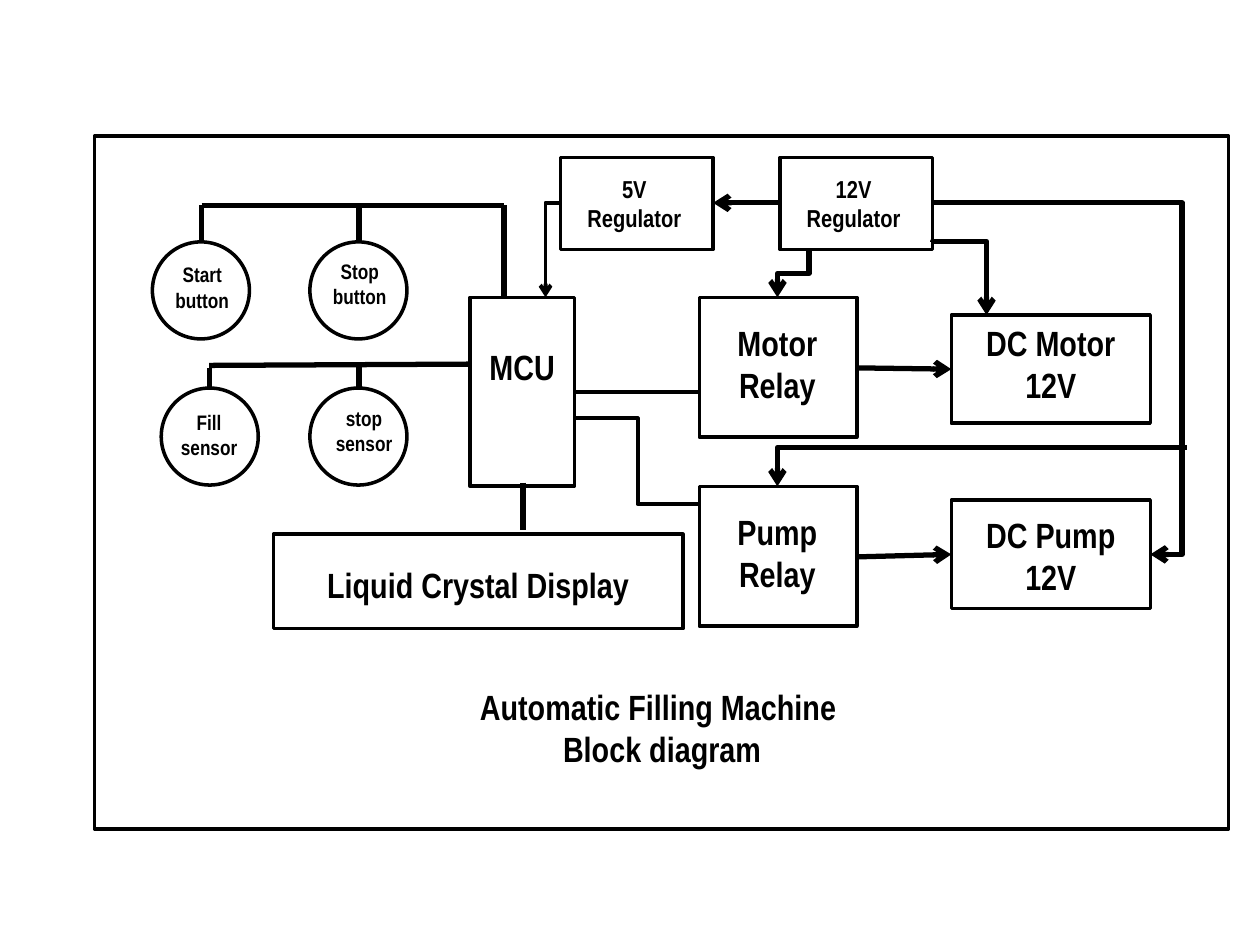
from dataclasses import dataclass

from lxml.etree import SubElement
from pptx import Presentation
from pptx.dml.color import RGBColor
from pptx.enum.shapes import MSO_CONNECTOR, MSO_SHAPE
from pptx.enum.text import MSO_AUTO_SIZE, PP_ALIGN
from pptx.oxml.ns import qn
from pptx.util import Inches, Pt


@dataclass(frozen=True)
class Theme:
    """Hold the colours, font, type sizes and line widths."""
    ink: RGBColor = RGBColor(0, 0, 0)
    paper: RGBColor = RGBColor(255, 255, 255)
    font: str = "Arial Narrow"
    large: float = 20
    medium: float = 14
    small: float = 12
    outline: float = 2
    signal: float = 2.25
    wire: float = 3


THEME = Theme()
BOX, CIRCLE = MSO_SHAPE.RECTANGLE, MSO_SHAPE.OVAL
RELAY, LOAD, REGULATOR, BUTTON = (1.25, 1.11), (1.58, 0.86), (1.21, 0.73), (0.77, 0.77)

BLOCKS = [
    (BOX, (0.75, 1.08), (9, 5.5)),
    (BOX, (3.73, 2.36), (0.83, 1.5)),
    (BOX, (5.55, 2.36), RELAY),
    (BOX, (5.55, 3.86), RELAY),
    (BOX, (7.55, 2.5), LOAD),
    (BOX, (7.55, 3.97), LOAD),
    (BOX, (2.17, 4.24), (3.25, 0.75)),
    (BOX, (4.45, 1.25), REGULATOR),
    (BOX, (6.19, 1.25), REGULATOR),
    (CIRCLE, (1.21, 1.92), BUTTON),
    (CIRCLE, (2.46, 1.92), BUTTON),
    (CIRCLE, (1.28, 3.08), BUTTON),
    (CIRCLE, (2.46, 3.08), BUTTON),
]

LABELS = [
    ("MCU", (3.78, 2.69), (0.73, 0.44), THEME.large),
    ("Motor\nRelay", (5.75, 2.5), (0.84, 0.77), THEME.large),
    ("Pump\nRelay", (5.75, 4), (0.84, 0.77), THEME.large),
    ("DC Motor\n12V", (7.72, 2.5), (1.24, 0.77), THEME.large),
    ("DC Pump\n12V", (7.72, 4.03), (1.24, 0.77), THEME.large),
    ("Liquid Crystal Display", (2.49, 4.42), (2.61, 0.44), THEME.large),
    ("Start\nbutton", (1.29, 2.03), (0.63, 0.5), THEME.small),
    ("Stop\nbutton", (2.54, 2), (0.63, 0.5), THEME.small),
    ("Fill\nsensor", (1.33, 3.2), (0.66, 0.5), THEME.small),
    ("stop\nsensor", (2.56, 3.17), (0.66, 0.5), THEME.small),
    ("5V\nRegulator", (4.56, 1.33), (0.95, 0.81), THEME.medium),
    ("12V\nRegulator", (6.3, 1.33), (0.95, 0.81), THEME.medium),
    ("Automatic Filling Machine \nBlock diagram", (3.7, 5.39), (3.11, 0.77), THEME.large),
]

WIRES = [
    ((1.66, 3.08), (1.66, 2.92)),
    ((1.66, 2.9), (3.73, 2.89)),
    ((2.85, 2.9), (2.85, 3.08)),
    ((4.15, 3.83), (4.15, 4.21)),
    ((1.6, 1.63), (4, 1.63)),
    ((1.6, 1.63), (1.6, 1.92)),
    ((2.85, 1.63), (2.85, 1.92)),
    ((4, 1.63), (4, 2.36)),
]

ARROWS = [
    ((6.8, 2.92), (7.55, 2.93)),
    ((6.8, 4.42), (7.55, 4.4)),
    ((6.19, 1.61), (5.66, 1.61)),
]


def apply_format(target, values):
    """Set each named attribute of the target."""
    for name, value in values.items():
        setattr(target, name, value)


def add_block(slide, kind, position, size):
    """Add an outlined block."""
    shape = slide.shapes.add_shape(kind, *map(Inches, position + size))
    shape.shadow.inherit = False
    shape.fill.solid()
    shape.fill.fore_color.rgb = THEME.paper
    shape.line.color.rgb = THEME.ink
    shape.line.width = Pt(THEME.outline)


def add_label(slide, text, position, size, points):
    """Add a centred bold label, one paragraph a line."""
    frame = slide.shapes.add_textbox(*map(Inches, position + size)).text_frame
    apply_format(frame, {"text": text, "word_wrap": False,
                         "auto_size": MSO_AUTO_SIZE.SHAPE_TO_FIT_TEXT})
    for paragraph in frame.paragraphs:
        paragraph.alignment = PP_ALIGN.CENTER
        apply_format(paragraph.font, {"name": THEME.font, "size": Pt(points), "bold": True})
        paragraph.font.color.rgb = THEME.ink


def add_line(slide, begin, end, width=THEME.wire, arrow=False, kind=MSO_CONNECTOR.STRAIGHT):
    """Add a connector, with an arrowhead at its end if asked."""
    connector = slide.shapes.add_connector(kind, *map(Inches, begin + end))
    connector.line.color.rgb = THEME.ink
    connector.line.width = Pt(width)
    if arrow:
        SubElement(connector.line._get_or_add_ln(), qn("a:tailEnd"), type="arrow")
    SubElement(connector.element.spPr, qn("a:effectLst"))
    return connector


def add_elbow(slide, begin, end, width=THEME.wire, arrow=True, corner=False, bend=None):
    """Add a bent connector that leaves sideways, with one corner or two."""
    connector = add_line(slide, begin, end, width, arrow, MSO_CONNECTOR.ELBOW)
    geometry = connector.element.spPr.find(qn("a:prstGeom"))
    if corner:
        geometry.set("prst", "bentConnector2")
    if bend is not None:
        adjustments = geometry.find(qn("a:avLst"))
        if adjustments is None:
            adjustments = SubElement(geometry, qn("a:avLst"))
        SubElement(adjustments, qn("a:gd"), name="adj1", fmla=f"val {round(bend * 100000)}")
    return connector


def add_drop(slide, begin, end, bend=None):
    """Add a bent arrow that leaves downwards, as a turned elbow."""
    across, down = end[0] - begin[0], end[1] - begin[1]
    middle_x, middle_y = (begin[0] + end[0]) / 2, (begin[1] + end[1]) / 2
    turn, sign = (90, 1) if across < 0 else (270, -1)
    offset_x, offset_y = sign * down / 2, sign * across / 2
    connector = add_elbow(slide, (middle_x - offset_x, middle_y + offset_y),
                          (middle_x + offset_x, middle_y - offset_y), bend=bend)
    connector.element.spPr.find(qn("a:xfrm")).set("rot", str(turn * 60000))


def main():
    """Build the block diagram and save it."""
    presentation = Presentation()
    apply_format(presentation, {"slide_width": Inches(10), "slide_height": Inches(7.5)})
    slide = presentation.slides.add_slide(presentation.slide_layouts[6])
    for block in BLOCKS:
        add_block(slide, *block)
    for label in LABELS:
        add_label(slide, *label)
    for wire in WIRES:
        add_line(slide, *wire)
    for arrow in ARROWS:
        add_line(slide, *arrow, arrow=True)
    add_line(slide, (4.57, 3.11), (5.55, 3.11), THEME.signal)
    add_elbow(slide, (5.55, 4), (4.57, 3.32), THEME.signal, arrow=False)
    add_elbow(slide, (4.45, 1.61), (4.33, 2.36), THEME.signal, corner=True)
    add_elbow(slide, (7.4, 1.61), (9.13, 4.4), bend=1.145)
    add_elbow(slide, (9.42, 3.55), (6.17, 3.86), corner=True)
    add_drop(slide, (6.42, 1.98), (6.17, 2.36))
    add_drop(slide, (7.4, 1.92), (7.83, 2.5), bend=-0.01)
    presentation.save("out.pptx")


if __name__ == "__main__":
    main()
